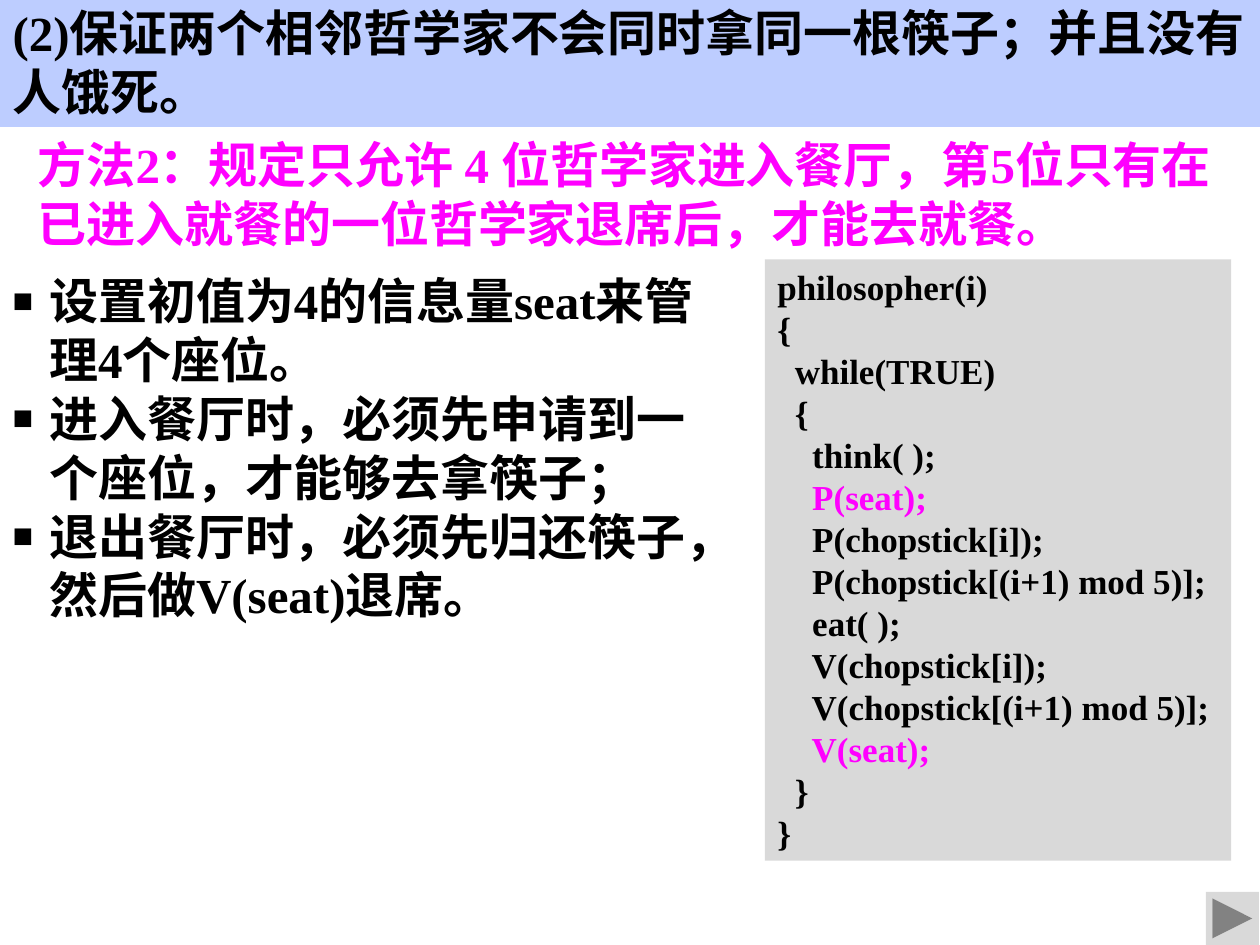
from lxml.etree import SubElement
from pptx import Presentation
from pptx.dml.color import RGBColor
from pptx.enum.shapes import MSO_SHAPE as Shape
from pptx.enum.text import MSO_ANCHOR as Anchor, MSO_AUTO_SIZE as AutoSize, PP_ALIGN as Align
from pptx.oxml.ns import qn
from pptx.util import Cm, Pt

BLACK, MAGENTA, GREY, PALE_BLUE = "000000", "FF00FF", "D9D9D9", "BDCDFF"


def fill_solid(shape, color):
    shape.fill.solid()
    shape.fill.fore_color.rgb = RGBColor.from_string(color)


def write(shape, text, size, color=BLACK, highlights=()):
    """Set bold left-aligned text; lines whose stripped text is in highlights turn magenta."""
    frame = shape.text_frame
    frame.text = text
    frame.word_wrap = True
    frame.auto_size = AutoSize.NONE
    frame.vertical_anchor = Anchor.TOP
    for paragraph in frame.paragraphs:
        paragraph.alignment = Align.LEFT
        paragraph.space_before = Pt(0)
        for run in paragraph.runs:
            run.font.name = "Times New Roman"
            run.font.size = Pt(size)
            run.font.bold = True
            run_color = MAGENTA if run.text.strip() in highlights else color
            run.font.color.rgb = RGBColor.from_string(run_color)


presentation = Presentation()
presentation.slide_width, presentation.slide_height = Cm(25.4), Cm(19.05)
slide = presentation.slides.add_slide(presentation.slide_layouts[1])
title, body = slide.placeholders

# Title band
title.left, title.top, title.width, title.height = Cm(0), Cm(-0.08), Cm(25.4), Cm(2.64)
fill_solid(title, PALE_BLUE)
write(title, "(2)保证两个相邻哲学家不会同时拿同一根筷子；并且没有人饿死。", 28)

# Method statement
method = slide.shapes.add_textbox(Cm(0.51), Cm(2.59), Cm(24.38), Cm(2.62))
write(method, "方法2：规定只允许 4 位哲学家进入餐厅，第5位只有在已进入就餐的一位哲学家退席后，才能去就餐。",
      28, MAGENTA)

# Bulleted rules
rules = [
    "设置初值为4的信息量seat来管理4个座位。",
    "进入餐厅时，必须先申请到一个座位，才能够去拿筷子；",
    "退出餐厅时，必须先归还筷子，然后做V(seat)退席。",
]
body.left, body.top, body.width, body.height = Cm(0), Cm(5.33), Cm(14.71), Cm(7.44)
write(body, "\n".join(rules), 28)
for paragraph in body.text_frame.paragraphs:
    properties = paragraph._p.get_or_add_pPr()
    properties.set("marL", str(Cm(0.74)))
    properties.set("indent", str(-Cm(0.74)))
    SubElement(properties, qn("a:buSzPct"), val="70000")
    SubElement(properties, qn("a:buChar"), char="■")

# Code panel
code = """philosopher(i)
{
  while(TRUE)
  {
    think( );
    P(seat);
    P(chopstick[i]);
    P(chopstick[(i+1) mod 5)];
    eat( );
    V(chopstick[i]);
    V(chopstick[(i+1) mod 5)];
    V(seat);
  }
}"""
panel = slide.shapes.add_shape(Shape.RECTANGLE, Cm(15.42), Cm(5.23), Cm(9.4), Cm(12.12))
write(panel, code, 20, highlights=("P(seat);", "V(seat);"))

# Forward button
button = slide.shapes.add_shape(Shape.ACTION_BUTTON_FORWARD_OR_NEXT,
                                Cm(24.31), Cm(17.98), Cm(1.07), Cm(1.07))
for shape in (panel, button):
    fill_solid(shape, GREY)
    shape.line.fill.background()
    shape.shadow.inherit = False

presentation.save("out.pptx")
